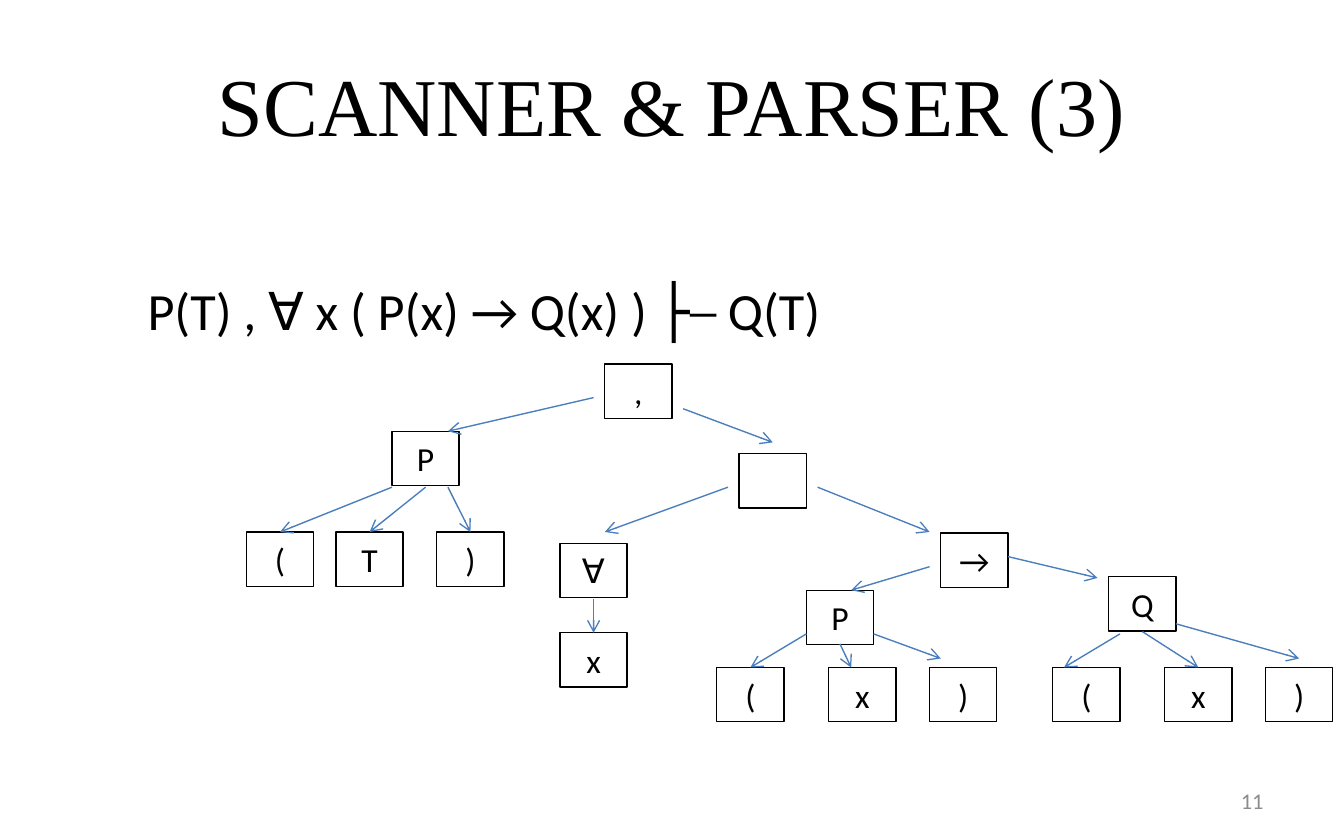
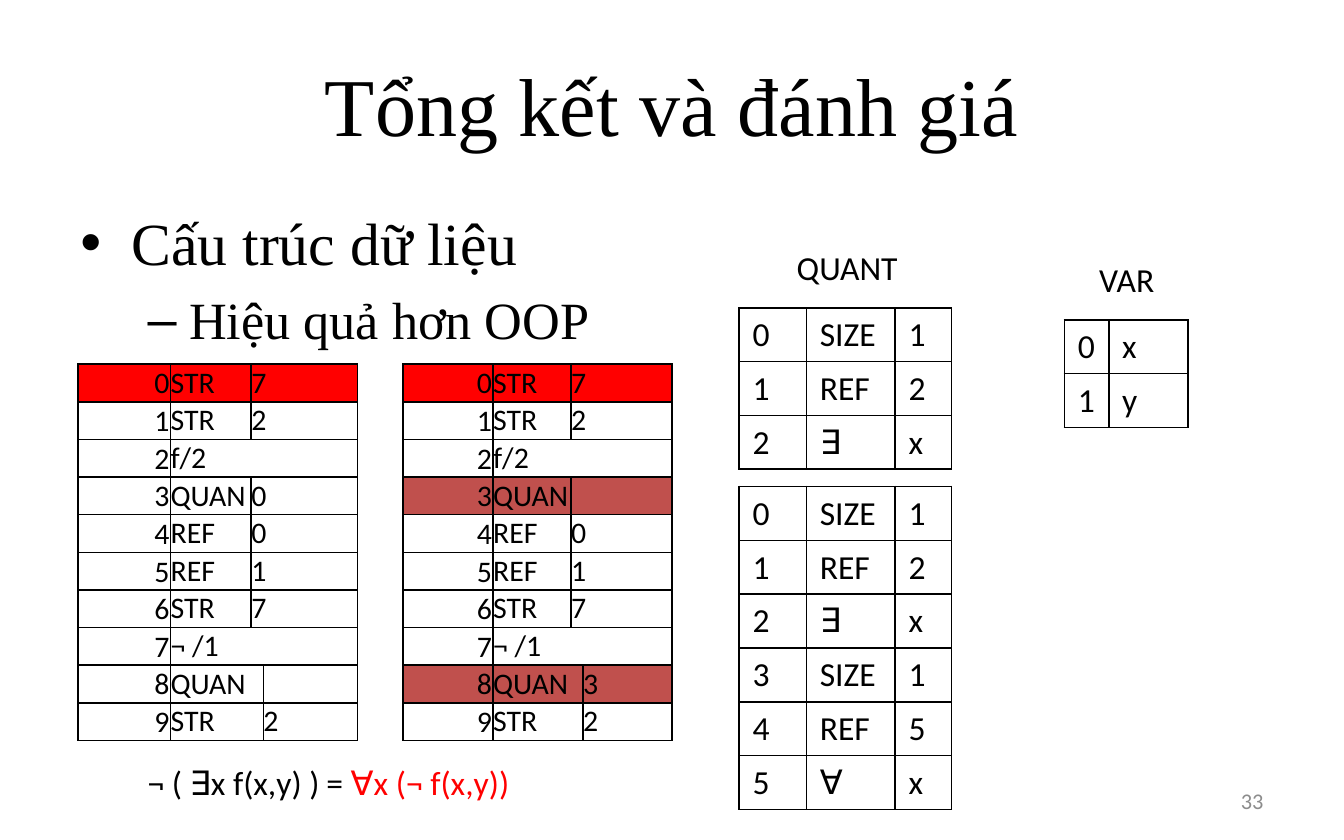
from dataclasses import dataclass

from lxml.etree import SubElement
from pptx import Presentation
from pptx.dml.color import RGBColor as RGB
from pptx.enum.shapes import MSO_CONNECTOR as CONN, MSO_SHAPE as SHAPE
from pptx.enum.text import MSO_ANCHOR as ANCHOR, PP_ALIGN as ALIGN
from pptx.oxml.ns import qn
from pptx.util import Inches, Pt


@dataclass(frozen=True)
class Theme:
    ink: str = "000000"
    paper: str = "FFFFFF"
    arrow: str = "4B7EBC"
    muted: str = "8C8C8C"
    red: str = "FF0000"
    brick: str = "C0504D"
    serif: str = "Times New Roman"
    sans: str = "Calibri"
    title: int = 44
    bullet: int = 32
    sub: int = 28
    body: int = 18
    dense: int = 16
    number: int = 12
    rule: float = 0.75
    border: float = 1


T = Theme()
W, H = 10, 6.25
UNIT = 1 / 12
NODE = (6, 4.85)

FORMULA = "P(T) , ∀ x ( P(x) → Q(x) ) ├─ Q(T)"

# label, node column and row, arrow start, arrow end
TREE = [
    (",", (54, 32.5), None, None),
    ("P", (35, 38.5), (53, 35.5), (40, 38.5)),
    ("(", (22, 47.5), (35, 43.5), (25, 47.5)),
    ("T", (30, 47.5), (38, 43.5), (33, 47.5)),
    (")", (39, 47.5), (40, 43.5), (42, 47.5)),
    ("", (66, 40.5), (61, 36.5), (69, 39.5)),
    ("∀", (50, 48.5), (65, 43.5), (54, 47.5)),
    ("x", (50, 56.5), (53, 53.5), (53, 56.5)),
    ("→", (84, 47.6), (73, 43.5), (83, 47.5)),
    ("P", (72, 52.7), (83, 50.6), (76, 52.7)),
    ("(", (64, 59.6), (72, 56.6), (67, 59.6)),
    ("x", (74, 59.6), (75, 57.5), (76, 59.6)),
    (")", (83, 59.6), (78, 56.6), (84, 58.8)),
    ("Q", (99, 51.5), (90, 49.7), (98, 51.6)),
    ("(", (94, 59.6), (100, 56.6), (95, 59.6)),
    ("x", (104, 59.6), (102, 56.4), (107, 59.6)),
    (")", (113, 59.6), (105, 55.7), (116, 58.8)),
]

BULLETS = [("Cấu trúc dữ liệu", "•", 0.38, -0.38, T.bullet),
           ("Hiệu quả hơn OOP", "–", 0.81, -0.31, T.sub)]

TERMS = [("STR", "7"), ("STR", "2"), ("f/2", None), ("QUAN", "0"), ("REF", "0"),
         ("REF", "1"), ("STR", "7"), ("¬ /1", None), ("QUAN", ""), ("STR", "2")]
TERMS_AFTER = TERMS[:3] + [("QUAN", "")] + TERMS[4:8] + [("QUAN", "3")] + TERMS[9:]
WIDE_FROM = 8
TERM_TABLES = [
    (TERMS, (0.58, 2.71), (0.69, 0.6, 0.09, 0.7), {0: T.red}),
    (TERMS_AFTER, (3, 2.71), (0.67, 0.58, 0.09, 0.66), {0: T.red, 3: T.brick, 8: T.brick}),
]

QUANT = [("SIZE", "1"), ("REF", "2"), ("∃", "x")]
QUANT_AFTER = QUANT + [("SIZE", "1"), ("REF", "5"), ("∀", "x")]
QUANT_COLS = (0.5, 0.66, 0.42)
INDEX_TABLES = [
    (QUANT, (5.5, 2.29), QUANT_COLS),
    (QUANT_AFTER, (5.5, 3.62), QUANT_COLS),
    ([("x",), ("y",)], (7.92, 2.38), (0.33, 0.59)),
]
LABELS = [("VAR", (8.08, 1.88, 0.75, 0.4)),
          ("QUANT", (5.83, 1.79, 1, 0.4)),
          ("¬ ( ∃x f(x,y) )", (1, 5.62, 1.5, 0.4))]


def style(p, size, font=T.sans, color=T.ink, align=ALIGN.LEFT):
    p.alignment = align
    for r in p.runs:
        r.font.size, r.font.name = Pt(size), font
        r.font.color.rgb = RGB.from_string(color)


def add_text(s, box, text, size, font=T.sans, color=T.ink,
             align=ALIGN.LEFT, anchor=ANCHOR.TOP):
    tf = s.shapes.add_textbox(*map(Inches, box)).text_frame
    tf.word_wrap, tf.vertical_anchor = True, anchor
    tf.text = text
    for p in tf.paragraphs:
        style(p, size, font, color, align)
    return tf


def indent(p, left, first, mark=None):
    pPr = p._p.get_or_add_pPr()
    pPr.set("marL", str(Inches(left)))
    pPr.set("indent", str(Inches(first)))
    if mark:
        SubElement(pPr, qn("a:buFont"), typeface="Arial")
        SubElement(pPr, qn("a:buChar"), char=mark)
    else:
        SubElement(pPr, qn("a:buNone"))


def add_slide(prs, title, number):
    s = prs.slides.add_slide(prs.slide_layouts[6])
    add_text(s, (0.05 * W, 0.04 * H, 0.9 * W, 1.04), title, T.title, T.serif,
             align=ALIGN.CENTER, anchor=ANCHOR.MIDDLE)
    add_text(s, (7.17, 5.79, 2.33, 0.33), str(number), T.number, color=T.muted,
             align=ALIGN.RIGHT, anchor=ANCHOR.MIDDLE)
    return s


def grid(*units):
    return [Inches(u * UNIT) for u in units]


def add_node(s, label, at):
    sp = s.shapes.add_shape(SHAPE.RECTANGLE, *grid(*at, *NODE))
    sp.shadow.inherit = False
    sp.fill.background()
    sp.line.color.rgb, sp.line.width = RGB.from_string(T.ink), Pt(T.rule)
    if label:
        sp.text_frame.text = label
        style(sp.text_frame.paragraphs[0], T.body, align=ALIGN.CENTER)


def add_arrow(s, start, end):
    c = s.shapes.add_connector(CONN.STRAIGHT, *grid(*start, *end))
    c.line.color.rgb, c.line.width = RGB.from_string(T.arrow), Pt(T.rule)
    SubElement(c.line._get_or_add_ln(), qn("a:tailEnd"), type="arrow")
    SubElement(c._element.spPr, qn("a:effectLst"))


def add_grid(s, at, cols, row_h, n):
    shape = s.shapes.add_table(n, len(cols), *map(Inches, (*at, sum(cols), row_h * n)))
    tbl = shape.table
    tbl.first_row = tbl.horz_banding = False
    for col, w in zip(tbl.columns, cols):
        col.width = Inches(w)
    for row in tbl.rows:
        row.height = Inches(row_h)
    return tbl


def fill_cell(cell, text, size, fill=T.paper, align=ALIGN.LEFT):
    p = cell.text_frame.paragraphs[0]
    if text:
        p.text = text
        style(p, size, align=align)
    else:
        SubElement(p._p, qn("a:endParaRPr"), sz=str(size * 100))
    tcPr = cell._tc.get_or_add_tcPr()
    for side in ("L", "R", "T", "B"):
        ln = SubElement(tcPr, qn(f"a:ln{side}"), w=str(Pt(T.border)))
        SubElement(SubElement(ln, qn("a:solidFill")), qn("a:srgbClr"), val=T.ink)
    cell.fill.solid()
    cell.fill.fore_color.rgb = RGB.from_string(fill)


def add_term_table(s, terms, at, cols, fills):
    tbl = add_grid(s, at, cols, 0.28, len(terms))
    for i, (kind, value) in enumerate(terms):
        wide = i >= WIDE_FROM
        texts = [str(i), kind, "", ""]
        if value:
            texts[3 if wide else 2] = value
        for j, text in enumerate(texts):
            cell = tbl.cell(i, j)
            fill_cell(cell, text, T.dense, fills.get(i, T.paper),
                      ALIGN.LEFT if j else ALIGN.RIGHT)
            cell.vertical_anchor = ANCHOR.MIDDLE
            cell.margin_left = cell.margin_right = cell.margin_top = Inches(0 if j else 0.01)
            cell.margin_bottom = 0
        first, last = (1, 3) if value is None else (1, 2) if wide else (2, 3)
        tbl.cell(i, first).merge(tbl.cell(i, last))


def add_index_table(s, rows, at, cols):
    tbl = add_grid(s, at, cols, 0.4, len(rows))
    for i, row in enumerate(rows):
        for j, text in enumerate((str(i), *row)):
            fill_cell(tbl.cell(i, j), text, T.body)


def build_parser(prs):
    s = add_slide(prs, "SCANNER & PARSER (3)", 11)
    tf = add_text(s, (0.05 * W, 2.02, 0.9 * W, 0.6), FORMULA, T.sub)
    indent(tf.paragraphs[0], 0.81, -0.31)
    for label, at, start, end in TREE:
        add_node(s, label, at)
        if start:
            add_arrow(s, start, end)


def build_summary(prs):
    s = add_slide(prs, "Tổng kết và đánh giá", 33)
    tf = add_text(s, (0.05 * W, 1.48, 0.9 * W, 4.12),
                  "\n".join(b[0] for b in BULLETS), T.bullet, T.serif)
    for p, (_, mark, left, first, size) in zip(tf.paragraphs, BULLETS):
        indent(p, left, first, mark)
        style(p, size, T.serif)
    tf.paragraphs[1].space_before = Pt(0.2 * T.sub)
    for table in TERM_TABLES:
        add_term_table(s, *table)
    for table in INDEX_TABLES:
        add_index_table(s, *table)
    for text, box in LABELS:
        add_text(s, box, text, T.body)
    tf = add_text(s, (2.33, 5.62, 1.83, 0.4), "= ", T.body)
    p = tf.paragraphs[0]
    r = p.add_run()
    r.text = "∀x (¬ f(x,y))"
    style(p, T.body)
    r.font.color.rgb = RGB.from_string(T.red)


def main():
    prs = Presentation()
    prs.slide_width, prs.slide_height = Inches(W), Inches(H)
    build_parser(prs)
    build_summary(prs)
    prs.save("out.pptx")


if __name__ == "__main__":
    main()
